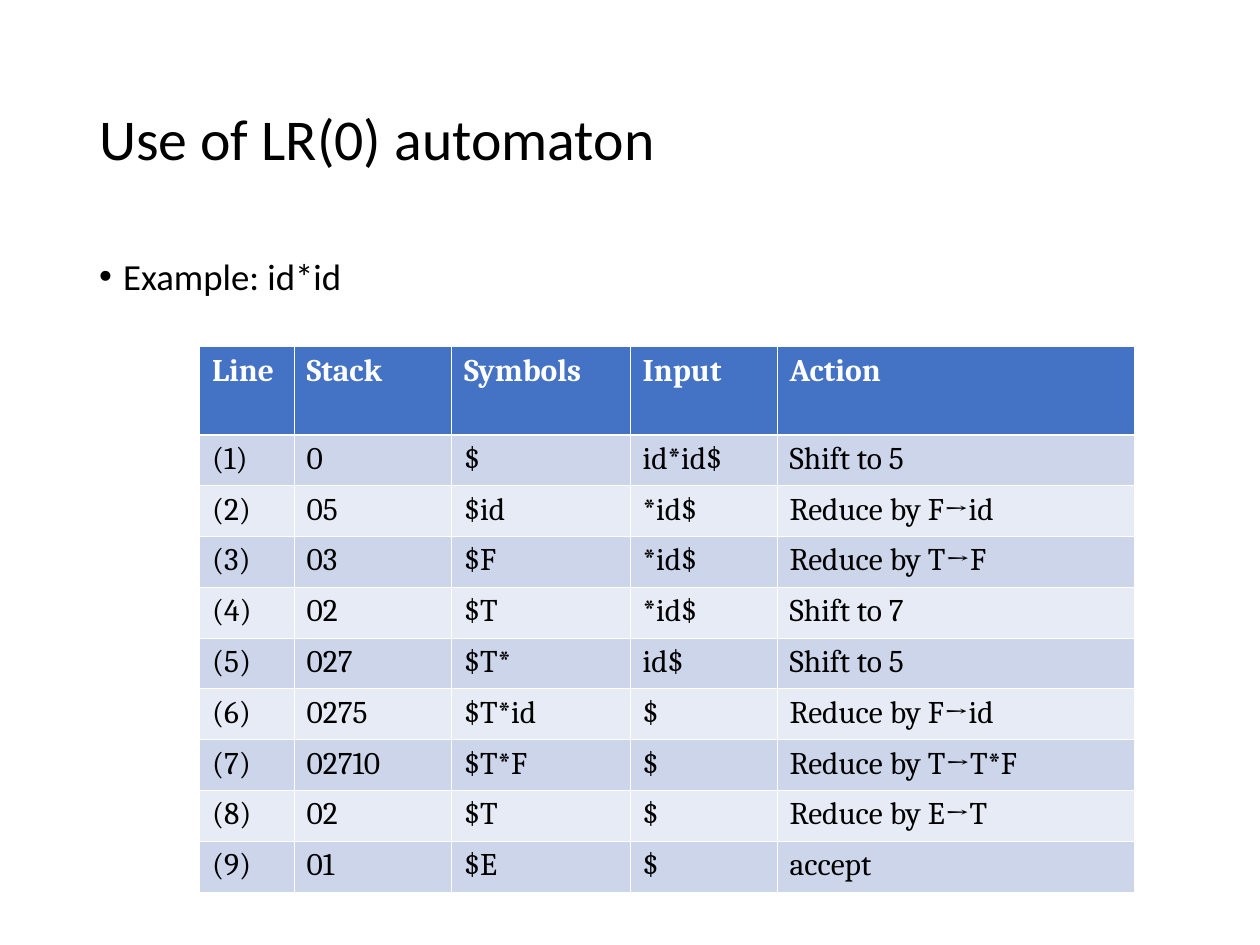
from dataclasses import dataclass

from lxml.etree import SubElement
from pptx import Presentation
from pptx.dml.color import RGBColor
from pptx.enum.text import MSO_ANCHOR, MSO_AUTO_SIZE, PP_ALIGN
from pptx.oxml.ns import qn
from pptx.util import Inches, Pt


@dataclass(frozen=True)
class Theme:
    heading_font: str = "Calibri"
    table_font: str = "Cambria"
    title_size: float = 33
    body_size: float = 21
    table_size: float = 18
    text: str = "000000"
    header_text: str = "FFFFFF"
    header_fill: str = "4472C4"
    bands: tuple = ("CCD5EA", "E7EBF5")
    border: str = "FFFFFF"
    thin: float = 0.45
    thick: float = 1.47


COLUMNS, ROWS = 120, 90  # square grid, 12 units to the inch

HEADER = ("Line", "Stack", "Symbols", "Input", "Action")
MOVES = [
    ("0", "$", "id*id$", "Shift to 5"),
    ("05", "$id", "*id$", "Reduce by F→id"),
    ("03", "$F", "*id$", "Reduce by T→F"),
    ("02", "$T", "*id$", "Shift to 7"),
    ("027", "$T*", "id$", "Shift to 5"),
    ("0275", "$T*id", "$", "Reduce by F→id"),
    ("02710", "$T*F", "$", "Reduce by T→T*F"),
    ("02", "$T", "$", "Reduce by E→T"),
    ("01", "$E", "$", "accept"),
]


def write(tf, text, *, font, size, color, bold=False, line_spacing=None,
          space_before=None):
    p = tf.paragraphs[0]
    p.alignment = PP_ALIGN.LEFT
    if line_spacing is not None:
        p.line_spacing = line_spacing
    if space_before is not None:
        p.space_before = Pt(space_before)
    r = p.add_run()
    r.text = text
    r.font.name, r.font.size, r.font.bold = font, Pt(size), bold
    r.font.color.rgb = RGBColor.from_string(color)
    return p


def set_borders(cell, color, **widths):
    """Draw cell sides; call before filling, as the schema puts lines first."""
    tc_pr = cell._tc.get_or_add_tcPr()
    for side in "LRTB":
        ln = SubElement(tc_pr, qn(f"a:ln{side}"), w=str(Pt(widths[side])))
        fill = SubElement(ln, qn("a:solidFill"))
        SubElement(fill, qn("a:srgbClr"), val=color)


class SlideBuilder:
    def __init__(self, prs, theme):
        self.theme = theme
        self.unit_x = prs.slide_width / COLUMNS
        self.unit_y = prs.slide_height / ROWS
        self.s = prs.slides.add_slide(prs.slide_layouts[1])

    def box(self, col, row, cols, rows):
        return (round(col * self.unit_x), round(row * self.unit_y),
                round(cols * self.unit_x), round(rows * self.unit_y))

    def placeholder(self, sp, area, anchor):
        sp.left, sp.top, sp.width, sp.height = self.box(*area)
        tf = sp.text_frame
        tf.word_wrap = True
        tf.auto_size = MSO_AUTO_SIZE.NONE
        tf.vertical_anchor = anchor
        return tf

    def title(self, text, area):
        t = self.theme
        tf = self.placeholder(self.s.shapes.title, area, MSO_ANCHOR.MIDDLE)
        write(tf, text, font=t.heading_font, size=t.title_size, color=t.text,
              line_spacing=0.9)

    def bullet(self, text, area):
        t = self.theme
        tf = self.placeholder(self.s.placeholders[1], area, MSO_ANCHOR.TOP)
        p = write(tf, text, font=t.heading_font, size=t.body_size,
                  color=t.text, line_spacing=0.9, space_before=7.5)
        p_pr = p._p.get_or_add_pPr()
        indent = Inches(0.19)
        p_pr.set("marL", str(indent))
        p_pr.set("indent", str(-indent))

    def table(self, rows, col, row, widths, heights):
        area = self.box(col, row, sum(widths), sum(heights))
        table = self.s.shapes.add_table(len(rows), len(widths), *area).table
        for column, width in zip(table.columns, widths):
            column.width = round(width * self.unit_x)
        for i, (table_row, height) in enumerate(zip(table.rows, heights)):
            table_row.height = round(height * self.unit_y)
            for cell, text in zip(table_row.cells, rows[i]):
                self.cell(cell, text, i)

    def cell(self, cell, text, i):
        t = self.theme
        header = i == 0
        set_borders(cell, t.border, L=t.thin, R=t.thin,
                    T=t.thick if i == 1 else t.thin,
                    B=t.thick if header else t.thin)
        cell.fill.solid()
        fill = t.header_fill if header else t.bands[(i - 1) % 2]
        cell.fill.fore_color.rgb = RGBColor.from_string(fill)
        write(cell.text_frame, text, font=t.table_font, size=t.table_size,
              color=t.header_text if header else t.text, bold=header)


def main():
    prs = Presentation()
    prs.slide_width, prs.slide_height = Inches(10), Inches(7.5)
    slide = SlideBuilder(prs, Theme())
    slide.title("Use of LR(0) automaton", (8.25, 4.8, 103.5, 17.4))
    slide.bullet("Example: id*id", (8.25, 24, 103.5, 57.1))
    steps = [(f"({n})", *move) for n, move in enumerate(MOVES, 1)]
    slide.table([HEADER, *steps], 19, 33, widths=(9, 15, 17, 14, 34),
                heights=[8.4] + [4.84] * len(steps))
    prs.save("out.pptx")


if __name__ == "__main__":
    main()
